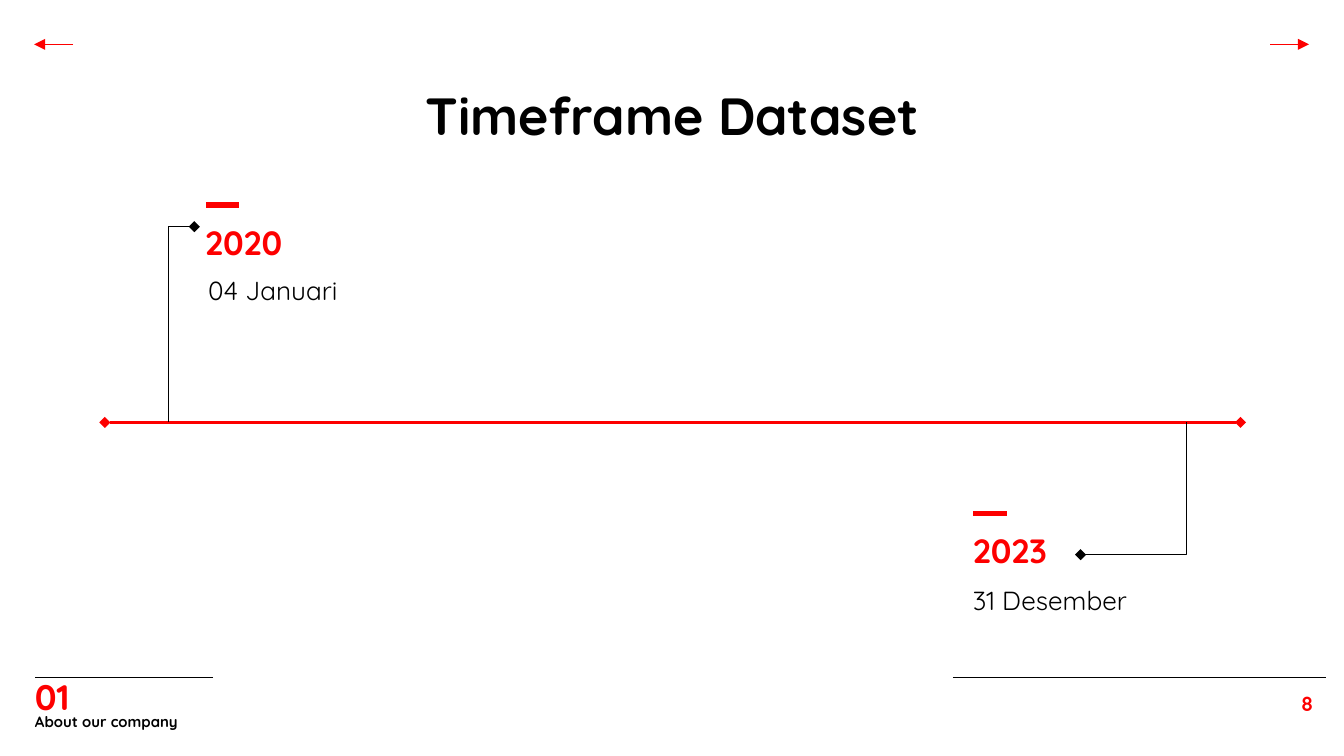
"""Build a timeline slide with two dated milestones."""
from dataclasses import dataclass
from typing import Optional

from pptx import Presentation, util as u
from pptx.dml.color import RGBColor
from pptx.enum import shapes, text
from pptx.oxml.ns import qn
from lxml import etree

COLUMNS, ROWS = 100, 56.25
CELL = u.Inches(0.1)
LEFT, CENTER, RIGHT = text.PP_ALIGN.LEFT, text.PP_ALIGN.CENTER, text.PP_ALIGN.RIGHT
TOP, MIDDLE, BOTTOM = text.MSO_ANCHOR.TOP, text.MSO_ANCHOR.MIDDLE, text.MSO_ANCHOR.BOTTOM


@dataclass(frozen=True)
class Theme:
    font: str = "Quicksand"
    red: RGBColor = RGBColor(0xFD, 0, 0)
    black: RGBColor = RGBColor(0, 0, 0)
    white: RGBColor = RGBColor(0xFF, 0xFF, 0xFF)
    title: float = 28
    section: float = 19
    year: float = 18
    date: float = 14
    number: float = 11
    caption: float = 8
    thin: float = 0.75
    axis: float = 1.5
    dash: float = 3


THEME = Theme()


@dataclass(frozen=True)
class Label:
    words: str
    left: float
    top: float
    width: float
    height: float
    size: float
    color: RGBColor
    bold: bool = True
    align: text.PP_ALIGN = LEFT
    anchor: text.MSO_ANCHOR = TOP
    inset: float = 1


@dataclass(frozen=True)
class Rule:
    start: tuple[float, float]
    end: tuple[float, float]
    color: RGBColor = THEME.red
    weight: float = THEME.thin
    head: Optional[str] = None
    tail: Optional[str] = None


@dataclass(frozen=True)
class Milestone:
    year: Label
    date: Label
    dash: tuple[float, float]
    pointer: Rule


def grid(cells: float) -> int:
    return round(cells * CELL)


def write_label(box, label: Label) -> None:
    box.left, box.top = grid(label.left), grid(label.top)
    box.width, box.height = grid(label.width), grid(label.height)
    frame = box.text_frame
    frame.word_wrap, frame.auto_size = True, text.MSO_AUTO_SIZE.NONE
    frame.vertical_anchor = label.anchor
    frame.margin_left = frame.margin_right = grid(1)
    frame.margin_top = frame.margin_bottom = grid(label.inset)
    frame.text = label.words
    para = frame.paragraphs[0]
    para.alignment = label.align
    para.font.name, para.font.size = THEME.font, u.Pt(label.size)
    para.font.bold, para.font.color.rgb = label.bold, label.color


def add_label(page, label: Label) -> None:
    write_label(page.shapes.add_textbox(0, 0, 0, 0), label)


def add_rule(page, rule: Rule, kind=shapes.MSO_CONNECTOR.STRAIGHT):
    line = page.shapes.add_connector(kind, *map(grid, rule.start + rule.end))
    line.line.color.rgb, line.line.width = rule.color, u.Pt(rule.weight)
    outline = line.line._get_or_add_ln()
    for side, arrow in (("a:headEnd", rule.head), ("a:tailEnd", rule.tail)):
        if arrow:
            etree.SubElement(outline, qn(side), type=arrow)
    etree.SubElement(line._element.spPr, qn("a:effectLst"))
    return line


def add_pointer(page, rule: Rule) -> None:
    """Draw an elbow that runs sideways first, then straight to the axis."""
    (x1, y1), (x2, y2) = rule.start, rule.end
    run, rise = abs(y2 - y1), abs(x2 - x1)
    left, top = (x1 + x2 - run) / 2, (y1 + y2 - rise) / 2
    upright = Rule((left, top), (left + run, top + rise),
                   rule.color, rule.weight, rule.head, rule.tail)
    line = add_rule(page, upright, shapes.MSO_CONNECTOR.ELBOW)
    properties = line._element.spPr
    properties.find(qn("a:xfrm")).set("rot", str((90 if y2 > y1 else 270) * 60000))
    guides = properties.find(qn("a:prstGeom")).find(qn("a:avLst"))
    etree.SubElement(guides, qn("a:gd"), name="adj1", fmla="val 0")


def add_milestone(page, milestone: Milestone) -> None:
    add_label(page, milestone.year)
    add_label(page, milestone.date)
    left, top = milestone.dash
    add_rule(page, Rule((left, top), (left + 2.5, top), weight=THEME.dash))
    add_pointer(page, milestone.pointer)


TITLE = Label("Timeframe Dataset", 16.1, 5.2, 67.8, 6.3, THEME.title, THEME.black, align=CENTER)
LABELS = (
    Label("8", 92.3, 50.43, 6.4, 4.3, THEME.number, THEME.red, align=RIGHT),
    Label("About our company", 1.62, 52.4, 33.1, 2.5, THEME.caption, THEME.black,
          anchor=MIDDLE, inset=0),
    Label("01", 1.62, 51.6, 18.5, 1.8, THEME.section, THEME.red, anchor=BOTTOM, inset=0),
)
AXIS_ROW, ARROW_ROW, FOOTER_ROW = 31.43, 3.3, 50.43
RULES = (
    Rule((15.87, FOOTER_ROW), (2.6, FOOTER_ROW), THEME.black),
    Rule((70.9, FOOTER_ROW), (98.7, FOOTER_ROW), THEME.black),
    Rule((7.8, AXIS_ROW), (92.3, AXIS_ROW), weight=THEME.axis, head="diamond", tail="diamond"),
    Rule((94.5, ARROW_ROW), (97.4, ARROW_ROW), tail="triangle"),
    Rule((5.44, ARROW_ROW), (2.54, ARROW_ROW), tail="triangle"),
)
MILESTONES = (
    Milestone(Label("2020", 14.27, 15.5, 22.1, 2.7, THEME.year, THEME.red),
              Label("04 Januari", 14.5, 19.4, 14, 4, THEME.date, THEME.black, False),
              (15.32, 15.27),
              Rule((14.46, 16.87), (12.54, AXIS_ROW), THEME.black, head="diamond")),
    Milestone(Label("2023", 71.4, 38.43, 18, 2.7, THEME.year, THEME.red),
              Label("31 Desember", 71.4, 42.5, 14, 4, THEME.date, THEME.black, False),
              (72.4, 38.2),
              Rule((80.4, 41.27), (88.3, AXIS_ROW), THEME.black, head="diamond")),
)


def main() -> None:
    deck = Presentation()
    deck.slide_width, deck.slide_height = grid(COLUMNS), grid(ROWS)
    page = deck.slides.add_slide(deck.slide_layouts[5])
    page.background.fill.solid()
    page.background.fill.fore_color.rgb = THEME.white
    write_label(page.shapes.title, TITLE)
    for rule in RULES:
        add_rule(page, rule)
    for milestone in MILESTONES:
        add_milestone(page, milestone)
    for label in LABELS:
        add_label(page, label)
    deck.save("out.pptx")


if __name__ == "__main__":
    main()
